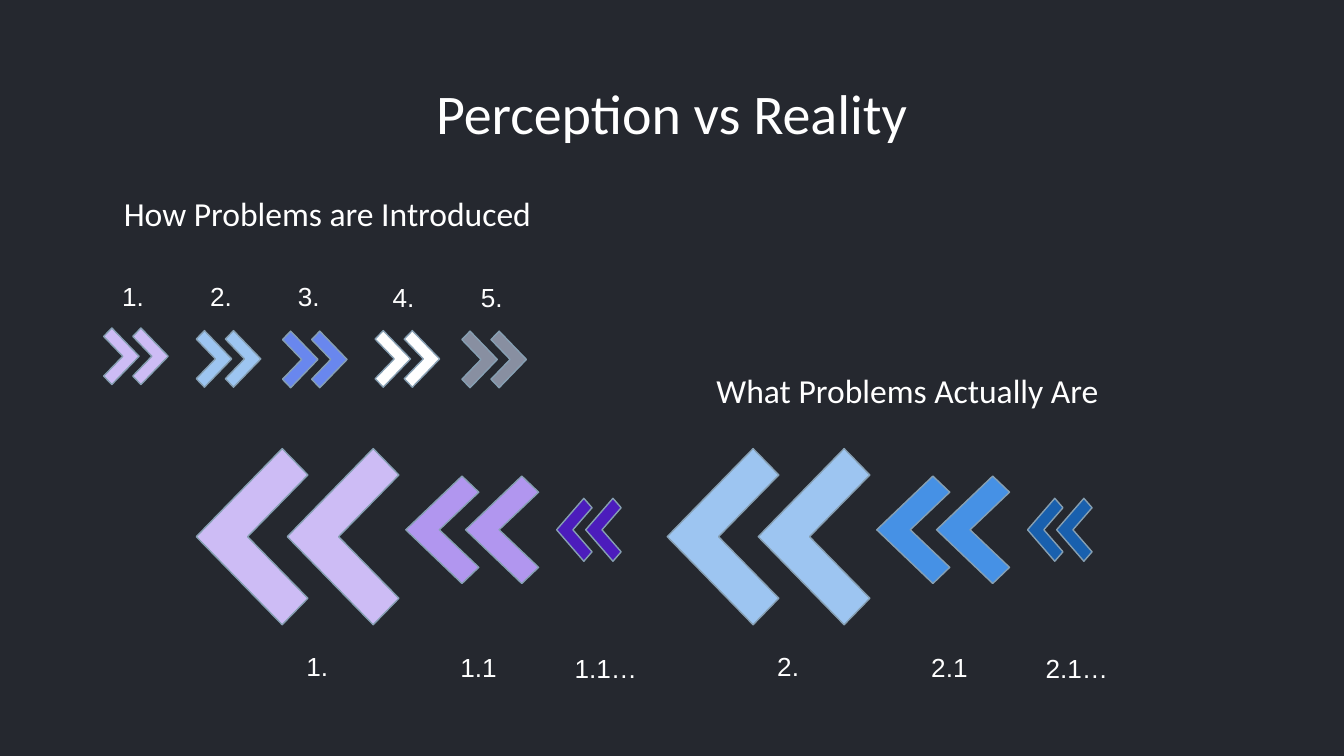
import pptx
import pptx.util
import pptx.dml.color
import pptx.enum.text
import pptx.oxml
from pptx.util import Cm

ALIGN = pptx.enum.text.PP_ALIGN
ANCHOR = pptx.enum.text.MSO_ANCHOR
AUTO = pptx.enum.text.MSO_AUTO_SIZE
NS = "http://schemas.openxmlformats.org/drawingml/2006/main"
CHEVRON = [(0.23, 0), (0, 0.15), (0.54, 0.5), (0, 0.85), (0.23, 1), (1, 0.5)]


def rgb(value):
    return pptx.dml.color.RGBColor.from_string(value)


def write(tf, text, size=14, font="Arial", color="FFFFFF", align=None, indent=None):
    p = tf.paragraphs[0]
    if indent:
        left, first = indent
        pPr = p._p.get_or_add_pPr()
        pPr.set("marL", str(Cm(left)))
        pPr.set("indent", str(Cm(first)))
        pPr.append(pptx.oxml.parse_xml(f'<a:buNone xmlns:a="{NS}"/>'))
    p.alignment = align
    p.space_before = pptx.util.Pt(0)
    r = p.add_run()
    r.text = text
    r.font.size = pptx.util.Pt(size)
    r.font.name = font
    r.font.color.rgb = rgb(color)


class Deck:
    outline = "869FB2"
    background = "25282F"

    def __init__(self, width, height):
        self.prs = pptx.Presentation()
        self.prs.slide_width = Cm(width)
        self.prs.slide_height = Cm(height)

    def slide(self, layout):
        self.s = self.prs.slides.add_slide(self.prs.slide_layouts[layout])
        self.s.background.fill.solid()
        self.s.background.fill.fore_color.rgb = rgb(self.background)

    def heading(self, idx, text, x, y, w, h, size, anchor, indent=None):
        sp = self.s.placeholders[idx]
        sp.left, sp.top, sp.width, sp.height = Cm(x), Cm(y), Cm(w), Cm(h)
        tf = sp.text_frame
        tf.word_wrap = True
        tf.auto_size = AUTO.NONE
        tf.vertical_anchor = anchor
        tf.margin_left = tf.margin_right = tf.margin_top = tf.margin_bottom = Cm(0.25)
        write(tf, text, size=size, font="Calibri", align=ALIGN.CENTER, indent=indent)

    def label(self, text, x, y, w):
        tf = self.s.shapes.add_textbox(Cm(x), Cm(y), Cm(w), Cm(0.86)).text_frame
        tf.word_wrap = False
        tf.auto_size = AUTO.SHAPE_TO_FIT_TEXT
        write(tf, text)

    def chevrons(self, x, y, w, h, step, color, left=False):
        group = self.s.shapes.add_group_shape()
        for start in (x, x + step):
            points = [(Cm(start + w * (1 - u if left else u)), Cm(y + h * v))
                      for u, v in CHEVRON]
            builder = group.shapes.build_freeform(*points[0], scale=1.0)
            builder.add_line_segments(points[1:], close=True)
            sp = builder.convert_to_shape()
            sp.shadow.inherit = False
            sp.fill.solid()
            sp.fill.fore_color.rgb = rgb(color)
            sp.line.color.rgb = rgb(self.outline)
            sp.line.width = pptx.util.Pt(0.75)


def main():
    deck = Deck(25.4, 14.29)
    deck.slide(3)
    deck.heading(0, "Perception vs Reality", 1.99, 1.24, 21.41, 1.6, 30, ANCHOR.TOP)
    hanging = (1.27, -0.84)
    deck.heading(1, "How Problems are Introduced", 1.15, 3.28, 9.65, 1.37, 18,
                 ANCHOR.BOTTOM, hanging)
    deck.heading(2, "What Problems Actually Are", 11.02, 6.63, 11.84, 1.37, 18,
                 ANCHOR.BOTTOM, hanging)

    introduced = [
        (1.96, 6.2, 2.06, 5.17, "CDBCF5"),
        (3.71, 6.25, 3.72, 5.17, "9DC5F1"),
        (5.34, 6.26, 5.38, 5.17, "6987EE"),
        (7.09, 6.25, 7.17, 5.19, "FFFFFF"),
        (8.73, 6.26, 8.84, 5.19, "888FA1"),
    ]
    for number, (x, y, label_x, label_y, color) in enumerate(introduced, 1):
        deck.chevrons(x, y, 0.67, 1.07, 0.55, color)
        deck.label(f"{number}.", label_x, label_y, 0.95)

    levels = [
        (3.71, 8.48, 2.11, 3.33, 1.72, ".", 5.54, 12.17, 0.95),
        (7.67, 9, 1.38, 2.03, 1.13, ".1", 8.45, 12.19, 1.19),
        (10.52, 9.42, 0.67, 1.19, 0.55, ".1…", 10.61, 12.2, 1.7),
    ]
    palettes = [("CDBCF5", "B196EF", "4C1CBC"), ("9DC5F1", "4691E5", "1960AE")]
    for i, palette in enumerate(palettes):
        shift = 8.9 * i
        for (x, y, w, h, step, suffix, label_x, label_y, label_w), color in zip(levels, palette):
            deck.chevrons(x + shift, y, w, h, step, color, left=True)
            deck.label(f"{i + 1}{suffix}", label_x + shift, label_y, label_w)

    deck.prs.save("out.pptx")


if __name__ == "__main__":
    main()
